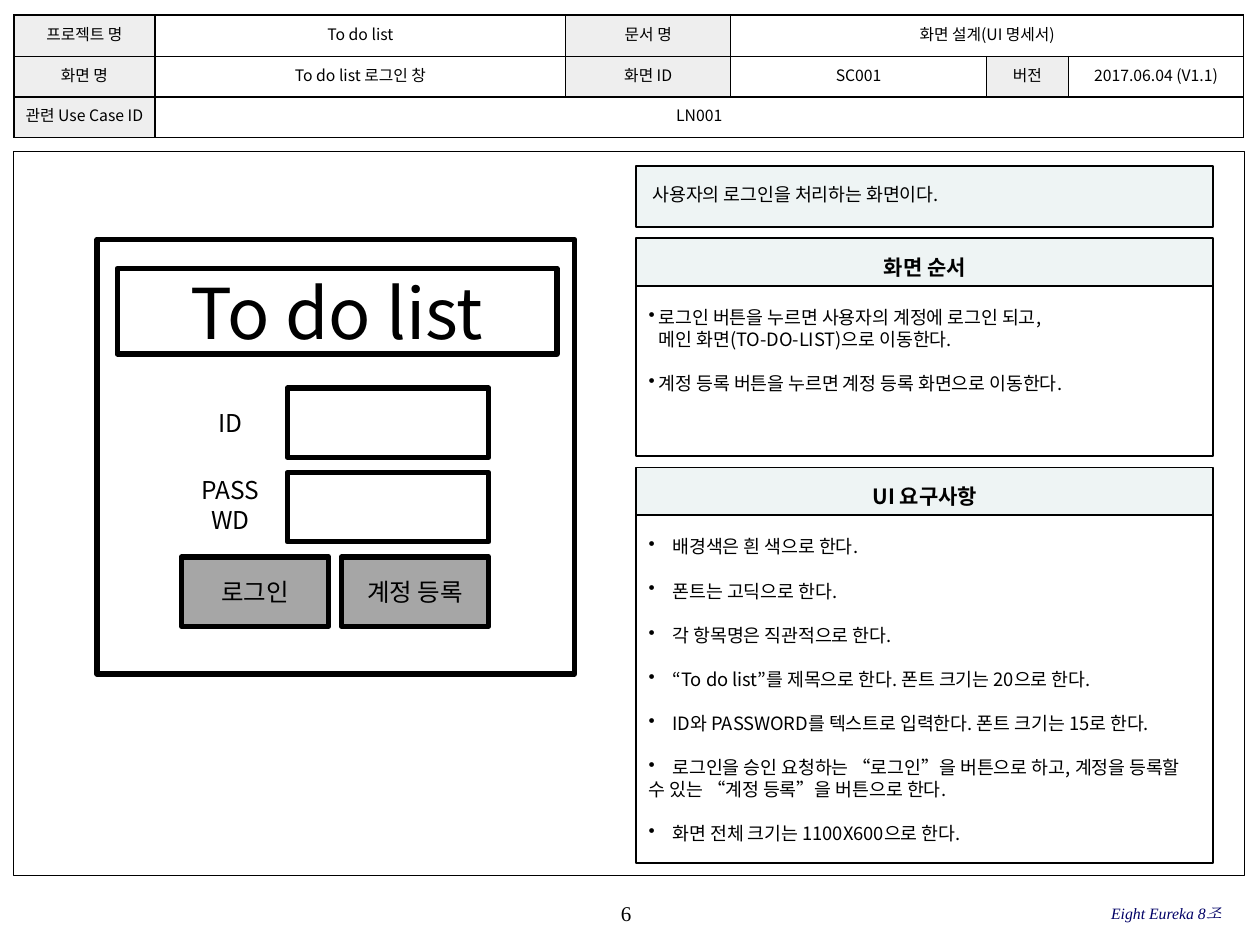
import pptx
import pptx.util
import pptx.dml.color
import pptx.enum.shapes
import pptx.enum.text
import pptx.oxml
import pptx.oxml.ns
from pptx.util import Inches

COLORS = {
    "black": "000000", "white": "FFFFFF", "panel": "EEF4F4",
    "label": "EEEEEE", "button": "A6A6A6", "team": "000066",
}
SANS, SERIF = "Noto Sans CJK KR", "Times New Roman"
ALIGN = pptx.enum.text.PP_ALIGN
ANCHOR = pptx.enum.text.MSO_ANCHOR
INSETS = (0.1, 0.05, 0.1, 0.05)
NAMESPACE = 'xmlns:a="http://schemas.openxmlformats.org/drawingml/2006/main"'


def rgb(name):
    return pptx.dml.color.RGBColor.from_string(COLORS[name])


def write(frame, lines, size, align=ALIGN.CENTER, anchor=ANCHOR.MIDDLE,
          insets=INSETS, font=SANS, color="black", **styles):
    """Fill a frame with (text, left margin, first-line indent, bullet, gap before) lines."""
    sides = ("margin_left", "margin_top", "margin_right", "margin_bottom")
    for side, inset in zip(sides, insets):
        setattr(frame, side, Inches(inset))
    frame.word_wrap = True
    frame.vertical_anchor = anchor
    pitch = pptx.util.Pt(size * 1.2)
    for index, (text, margin, indent, bullet, gap) in enumerate(lines):
        paragraph = frame.add_paragraph() if index else frame.paragraphs[0]
        formats = {"alignment": align, "line_spacing": pitch,
                   "space_before": pitch if gap else pptx.util.Pt(0)}
        for name, value in formats.items():
            setattr(paragraph, name, value)
        properties = paragraph._p.get_or_add_pPr()
        properties.set("marL", str(Inches(margin)))
        properties.set("indent", str(Inches(indent)))
        if bullet:
            properties.append(pptx.oxml.parse_xml(f'<a:buChar {NAMESPACE} char="•"/>'))
        run = paragraph.add_run()
        run.text = text
        for name, value in {"size": pptx.util.Pt(size), "name": font, **styles}.items():
            setattr(run.font, name, value)
        run.font.color.rgb = rgb(color)
        run._r.get_or_add_rPr().append(
            pptx.oxml.parse_xml(f'<a:ea {NAMESPACE} typeface="{font}"/>'))


def add_box(left, top, width, height, line_width, fill=None):
    shape = slide.shapes.add_shape(
        pptx.enum.shapes.MSO_SHAPE.RECTANGLE,
        Inches(left), Inches(top), Inches(width), Inches(height))
    shape.shadow.inherit = False
    if fill:
        shape.fill.solid()
        shape.fill.fore_color.rgb = rgb(fill)
    else:
        shape.fill.background()
    shape.line.color.rgb = rgb("black")
    shape.line.width = pptx.util.Pt(line_width)
    return shape


presentation = pptx.Presentation()
presentation.slide_width = Inches(10)
presentation.slide_height = Inches(7.5)
slide = presentation.slides.add_slide(presentation.slide_layouts[6])

# Page frame and footer
add_box(0.11, 1.2, 9.77, 5.75, 0.75)
footers = [
    ("6", 3.93, 2.08, 12, ALIGN.CENTER, "black", False),
    ("Eight Eureka 8조", 6.63, 3.06, 9, ALIGN.RIGHT, "team", True),
]
for text, left, width, size, align, color, italic in footers:
    footer = slide.shapes.add_textbox(Inches(left), Inches(7.08), Inches(width), Inches(0.33))
    write(footer.text_frame, [(text, 0, 0, False, False)], size, align,
          insets=(0, 0, 0, 0), font=SERIF, color=color, italic=italic)

# Description and the two titled panels
panel_left, panel_width, header_height = 5.05, 4.58, 0.38
description = add_box(panel_left, 1.32, panel_width, 0.48, 1, "panel")
write(description.text_frame, [("사용자의 로그인을 처리하는 화면이다.", 0, 0, False, False)],
      10.5, ALIGN.LEFT, ANCHOR.TOP, (0.13, 0.13, 0.1, 0.05))

flow = [
    ("로그인 버튼을 누르면 사용자의 계정에 로그인 되고,", 0.08, -0.08, True, False),
    ("메인 화면(TO-DO-LIST)으로 이동한다.", 0.08, 0, False, False),
    ("계정 등록 버튼을 누르면 계정 등록 화면으로 이동한다.", 0.08, -0.08, True, True),
]
requirement_texts = [
    "배경색은 흰 색으로 한다.",
    "폰트는 고딕으로 한다.",
    "각 항목명은 직관적으로 한다.",
    "“To do list”를 제목으로 한다. 폰트 크기는 20으로 한다.",
    "ID와 PASSWORD를 텍스트로 입력한다. 폰트 크기는 15로 한다.",
    "로그인을 승인 요청하는 “로그인”을 버튼으로 하고, 계정을 등록할",
    "화면 전체 크기는 1100X600으로 한다.",
]
requirements = [(text, 0.19, -0.19, True, index > 0)
                for index, text in enumerate(requirement_texts)]
requirements.insert(6, ("수 있는 “계정 등록”을 버튼으로 한다.", 0, 0, False, False))

for title, top, body_height, lines in [("화면 순서", 1.89, 1.35, flow),
                                       ("UI 요구사항", 3.71, 2.76, requirements)]:
    header = add_box(panel_left, top, panel_width, header_height, 1, "panel")
    write(header.text_frame, [(title, 0, 0, False, False)], 12,
          anchor=ANCHOR.TOP, insets=(0.1, 0.13, 0.1, 0.05), bold=True)
    body = add_box(panel_left, top + header_height, panel_width, body_height, 1, "white")
    write(body.text_frame, lines, 10.5, ALIGN.LEFT, ANCHOR.TOP, (0.1, 0.16, 0.1, 0.05))

# Document information table
column_widths = [1.12, 3.26, 1.31, 2.03, 0.65, 1.39]
row_heights = [0.33, 0.32, 0.32]
rows = [
    ["프로젝트 명", "To do list", "문서 명", "화면 설계(UI 명세서)", "", ""],
    ["화면 명", "To do list 로그인 창", "화면 ID", "SC001", "버전", "2017.06.04 (V1.1)"],
    ["관련 Use Case ID", "LN001", "", "", "", ""],
]
table = slide.shapes.add_table(len(rows), len(column_widths), Inches(0.11), Inches(0.12),
                               Inches(9.77), Inches(0.98)).table
for column, width in zip(table.columns, column_widths):
    column.width = Inches(width)
for row, height in zip(table.rows, row_heights):
    row.height = Inches(height)
table.cell(0, 3).merge(table.cell(0, 5))
table.cell(2, 1).merge(table.cell(2, 5))
for row_index, texts in enumerate(rows):
    for column_index, text in enumerate(texts):
        cell = table.cell(row_index, column_index)
        cell_properties = cell._tc.get_or_add_tcPr()
        for edge in ("lnL", "lnR", "lnT", "lnB"):
            cell_properties.append(pptx.oxml.parse_xml(
                f'<a:{edge} {NAMESPACE} w="12700"><a:solidFill>'
                f'<a:srgbClr val="{COLORS["black"]}"/></a:solidFill></a:{edge}>'))
        cell.fill.solid()
        is_label = column_index % 2 == 0 and text
        cell.fill.fore_color.rgb = rgb("label" if is_label else "white")
        if text:
            write(cell.text_frame, [(text, 0, 0, False, False)], 9)
            cell.vertical_anchor = ANCHOR.MIDDLE
            cell.margin_left = cell.margin_right = Inches(0.04)
            cell.margin_top = cell.margin_bottom = Inches(0.02)

# Login window mockup
add_box(0.77, 1.9, 3.79, 3.45, 3)
window_title = add_box(0.93, 2.13, 3.49, 0.68, 3, "white")
write(window_title.text_frame, [("To do list", 0, 0, False, False)], 40)
for text, label_top, field_top in [("ID", 3.08, 3.08), ("PASSWD", 3.73, 3.75)]:
    add_box(2.28, field_top, 1.6, 0.55, 3)
    label = slide.shapes.add_textbox(Inches(1.44), Inches(label_top), Inches(0.78), Inches(0.55))
    write(label.text_frame, [(text, 0, 0, False, False)], 14)
for text, left in [("로그인", 1.44), ("계정 등록", 2.71)]:
    button = add_box(left, 4.42, 1.17, 0.55, 3, "button")
    write(button.text_frame, [(text, 0, 0, False, False)], 14)

presentation.save("out.pptx")
